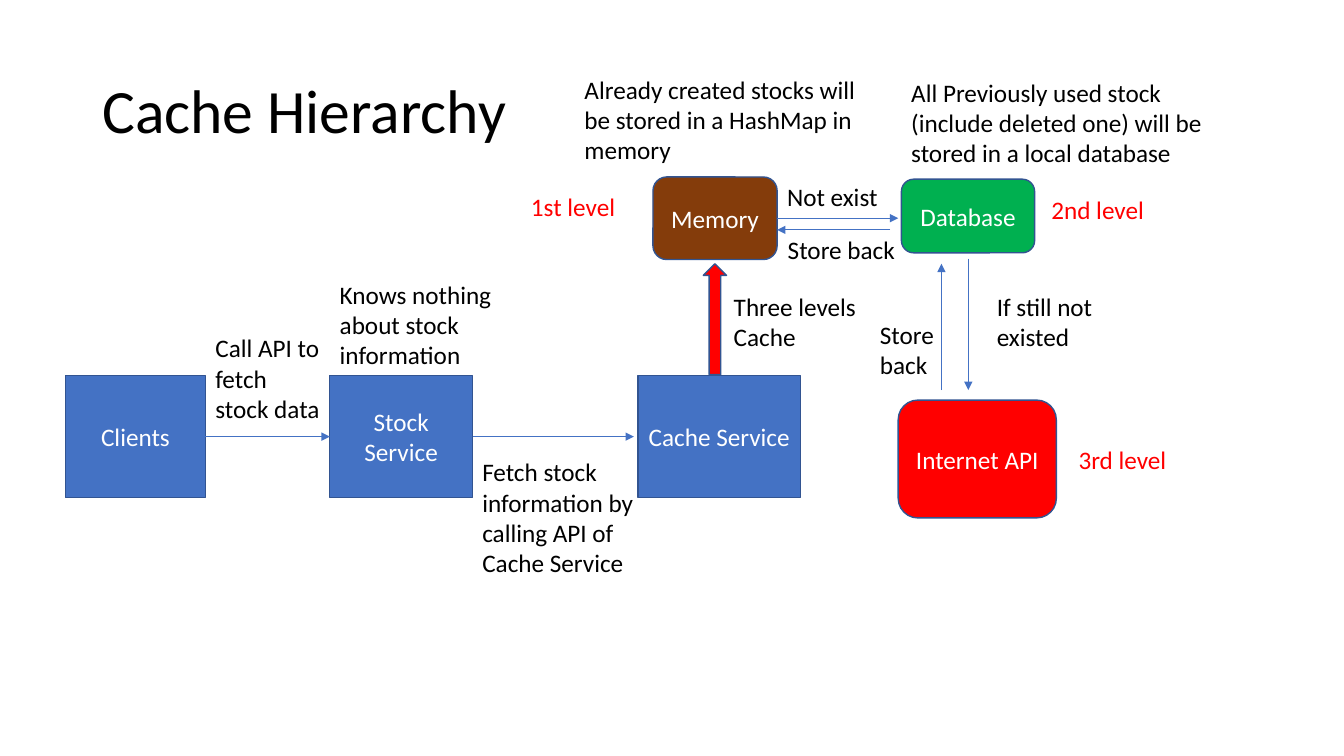
from pptx import Presentation
from pptx.dml.color import RGBColor
from pptx.enum import shapes, text
from pptx.oxml import xmlchemy
from pptx.util import Pt

BLACK = RGBColor(0x00, 0x00, 0x00)
WHITE = RGBColor(0xFF, 0xFF, 0xFF)
BLUE = RGBColor(0x44, 0x72, 0xC4)
NAVY = RGBColor(0x32, 0x54, 0x91)
BROWN = RGBColor(0x84, 0x3C, 0x0B)
GREEN = RGBColor(0x00, 0xB0, 0x50)
RED = RGBColor(0xFF, 0x00, 0x00)

RECT = shapes.MSO_SHAPE.RECTANGLE
ROUND = shapes.MSO_SHAPE.ROUNDED_RECTANGLE
LEFT, RIGHT = 1, 3


def place(box, x, y):
    """Turn an offset within a region into a slide position."""
    return Pt(box[0] + x), Pt(box[1] + y)


def write(sp, words, color, size=18, align=text.PP_ALIGN.LEFT,
          anchor=text.MSO_ANCHOR.TOP, spacing=None):
    tf = sp.text_frame
    tf.word_wrap = True
    tf.vertical_anchor = anchor
    p = tf.paragraphs[0]
    p.alignment = align
    p.line_spacing = spacing
    r = p.add_run()
    r.text = words
    for name, value in {"name": "Calibri", "size": Pt(size)}.items():
        setattr(r.font, name, value)
    r.font.color.rgb = color


def add_label(s, box, words, x, y, w, h, color=BLACK, **style):
    sp = s.shapes.add_textbox(*place(box, x, y), Pt(w), Pt(h))
    write(sp, words, color, **style)


def add_block(s, box, kind, words, x, y, w, h, fill):
    sp = s.shapes.add_shape(kind, *place(box, x, y), Pt(w), Pt(h))
    sp.shadow.inherit = False
    sp.fill.solid()
    sp.fill.fore_color.rgb = fill
    sp.line.color.rgb = NAVY
    sp.line.width = Pt(1)
    if words:
        write(sp, words, WHITE, align=text.PP_ALIGN.CENTER,
              anchor=text.MSO_ANCHOR.MIDDLE)
    return sp


def add_arrow(s, box, start, end):
    line = s.shapes.add_connector(shapes.MSO_CONNECTOR.STRAIGHT,
                                  *place(box, *start), *place(box, *end))
    line.line.color.rgb = BLUE
    line.line.width = Pt(0.5)
    # Arrowhead and no shadow
    head = xmlchemy.OxmlElement("a:tailEnd")
    head.set("type", "triangle")
    line.line._get_or_add_ln().append(head)
    line._element.spPr.append(xmlchemy.OxmlElement("a:effectLst"))
    return line


def add_title(s, box):
    add_label(s, box, "Cache Hierarchy", 0, 0, box[2], box[3], size=44,
              anchor=text.MSO_ANCHOR.MIDDLE, spacing=0.9)


def add_request_flow(s, box):
    # Services in a row
    row_y, row_h = 72.5, 87.2
    mid_y = row_y + row_h / 2
    clients, stock, cache = [
        add_block(s, box, RECT, words, x, row_y, w, row_h, BLUE)
        for words, x, w in (("Clients", 0, 100),
                            ("Stock Service", 188.8, 102),
                            ("Cache Service", 409, 116))]

    # Calls from one service to the next
    call = add_arrow(s, box, (100, mid_y), (188.8, mid_y))
    call.begin_connect(clients, RIGHT)
    call.end_connect(stock, LEFT)
    fetch = add_arrow(s, box, (290.8, mid_y), (406, mid_y))
    fetch.begin_connect(stock, RIGHT)

    # Notes
    for note in (("Call API to fetch stock data", 100, 38.2, 92, 72.7),
                 ("Knows nothing about stock information", 188.8, 0, 136.8, 72.7),
                 ("Fetch stock information by calling API of Cache Service",
                  290.6, 126.8, 146, 94.3)):
        add_label(s, box, *note)


def add_cache_levels(s, box):
    # Way up from the cache service
    up = add_block(s, box, shapes.MSO_SHAPE.DOWN_ARROW, "",
                   130.2, 139, 16.6, 79.2, RED)
    up.rotation = 180

    # Stores
    memory = add_block(s, box, ROUND, "Memory", 94.2, 77, 88.7, 59, BROWN)
    add_block(s, box, ROUND, "Database", 271.7, 78.6, 95.2, 52.6, GREEN)
    add_block(s, box, ROUND, "Internet API", 269.4, 236.4, 113, 84.2, RED)

    # Lookups and store-backs
    lookup = add_arrow(s, box, (182.9, 106.5), (269.4, 106.5))
    lookup.begin_connect(memory, RIGHT)
    for start, end in (((263.6, 114.8), (182.9, 114.8)),
                       ((319.5, 135.4), (319.5, 229.2)),
                       ((300.3, 229.2), (300.3, 139))):
        add_arrow(s, box, start, end)

    # Notes
    for note in (
            ("Already created stocks will be stored in a HashMap in memory",
             38.2, 0, 212.4, 72.7),
            ("All Previously used stock (include deleted one) will be "
             "stored in a local database", 271.6, 2.2, 239, 72.7),
            ("Three levels Cache", 144.8, 154.8, 109.4, 51),
            ("Not exist", 182.9, 76.4, 80.6, 29),
            ("Store back", 183.4, 114.6, 97.2, 29),
            ("If still not existed", 332.7, 154.8, 106.6, 51),
            ("Store back", 249.2, 175, 72, 51)):
        add_label(s, box, *note)

    # Level names
    for words, x, y in (("1st level", 0, 83.6), ("2nd level", 371.7, 85.7),
                        ("3rd level", 391.1, 264.3)):
        add_label(s, box, words, x, y, 84, 29, RED)


def main():
    prs = Presentation()
    prs.slide_width, prs.slide_height = Pt(960), Pt(540)
    s = prs.slides.add_slide(prs.slide_layouts[6])
    add_title(s, (66, 28.8, 828, 104.4))
    add_request_flow(s, (46.8, 195.8, 525, 221.1))
    add_cache_levels(s, (372.2, 49.4, 510.6, 320.6))
    prs.save("out.pptx")


if __name__ == "__main__":
    main()
